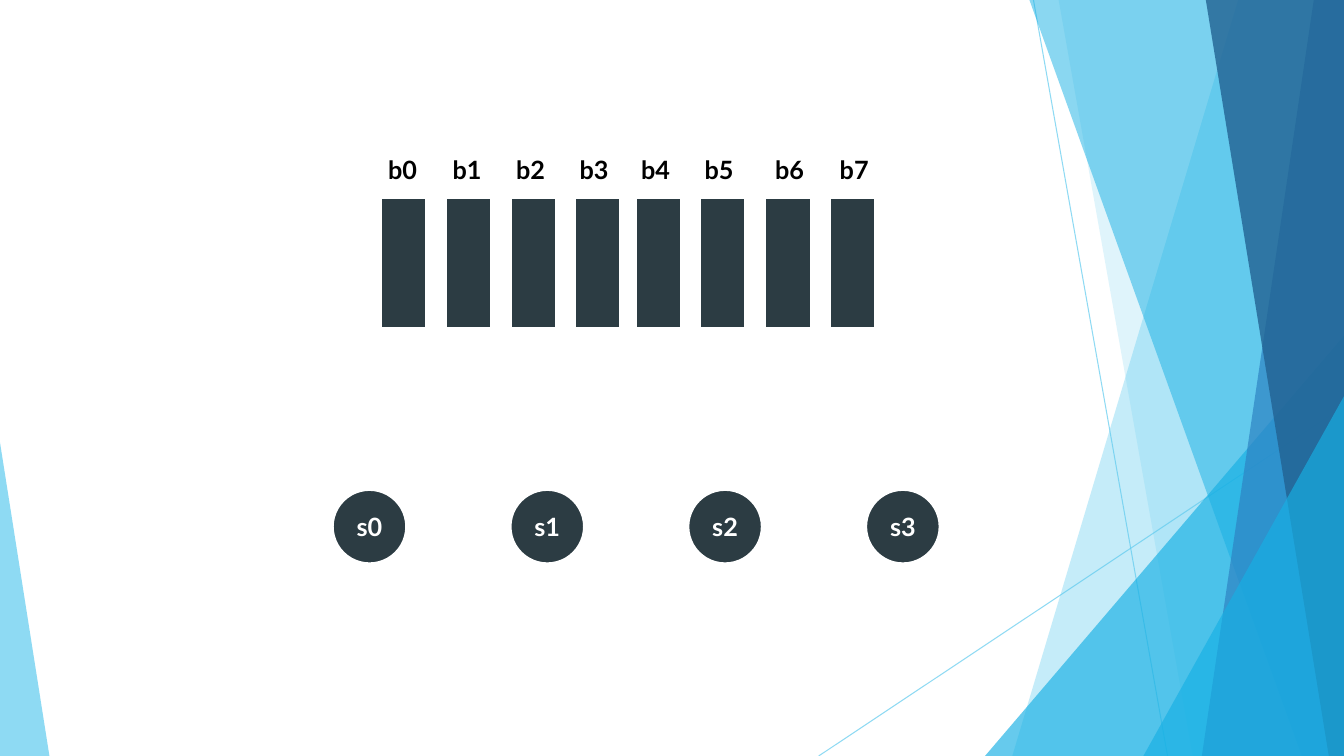
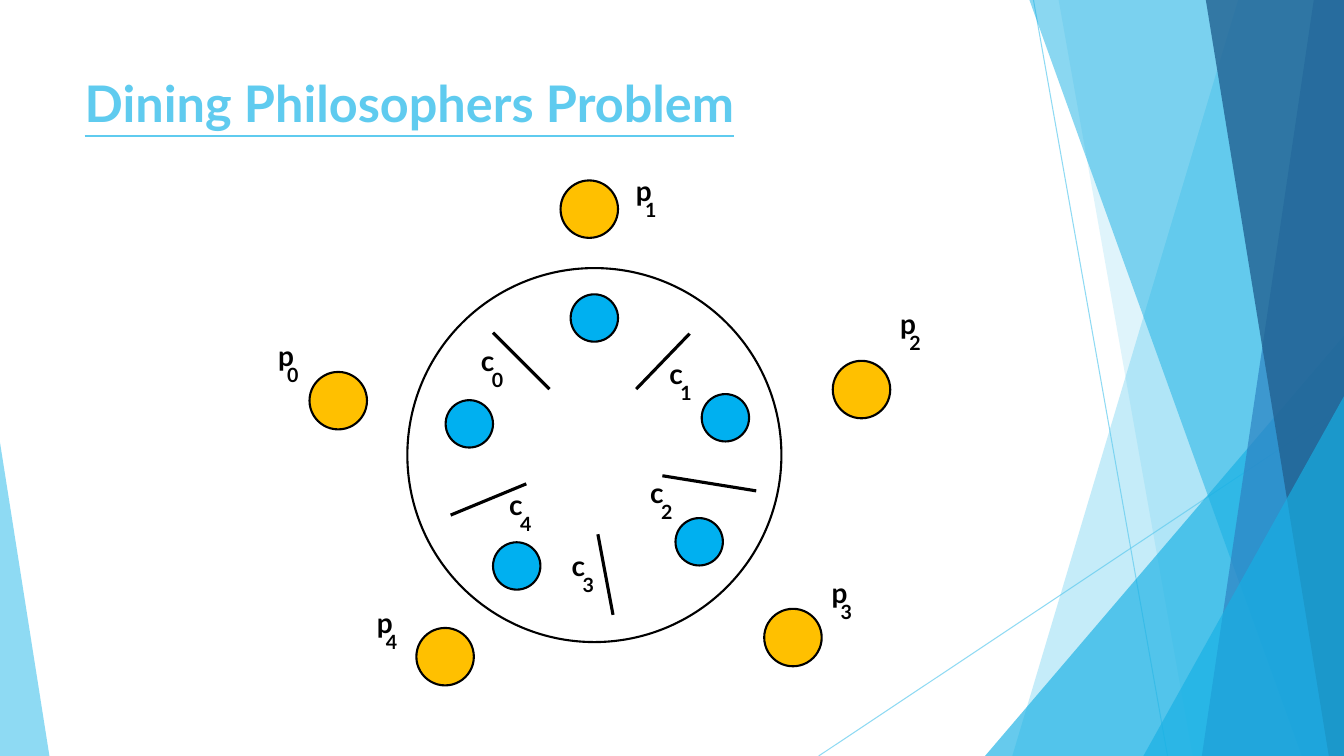
from dataclasses import dataclass

from lxml import etree
from pptx import Presentation
from pptx.dml.color import RGBColor
from pptx.enum import shapes, text
from pptx.oxml import ns
from pptx.util import Inches, Pt


@dataclass(frozen=True)
class Theme:
    font: str = "Lato"
    sky: str = "5FCBEF"
    cyan: str = "17B0E4"
    blue: str = "2E83C3"
    navy: str = "226292"
    slate: str = "2C3C43"
    white: str = "FFFFFF"
    black: str = "000000"
    amber: str = "FFC000"
    plate: str = "00B0F0"
    title_size: int = 36
    letter_size: int = 20
    label_size: int = 18
    index_size: int = 14
    hairline: float = 0.75
    outline: float = 1.5
    stick: float = 2.25


THEME = Theme()
WIDTH, HEIGHT = 13.33, 7.5
KIND = shapes.MSO_SHAPE

RAYS = [((10.25, 0), (11.58, HEIGHT)), ((WIDTH, 4.03), (8.12, HEIGHT))]
# top left, top right, bottom left
FACETS = [
    ("band", (12.28, 10.04), THEME.sky, 36),
    ("band", (10.5, 11.83), THEME.sky, 20),
    ("triangle", (9.77, 3.33, 3.56, 4.17, 1), THEME.cyan, 66),
    ("band", (10.21, 12.91), THEME.cyan, 50),
    ("band", (13.03, 11.92), THEME.blue, 70),
    ("band", (11.96, 13.18), THEME.navy, 80),
    ("triangle", (11.34, 3.93, 1.99, 3.57, 1), THEME.cyan, 66),
    ("triangle", (0, 4.39, 0.49, 3.11, 0), THEME.sky, 70),
]

BAR_LEFTS = [3.78, 4.42, 5.07, 5.7, 6.31, 6.94, 7.59, 8.23]
BAR_LABEL_LEFTS = [3.75, 4.39, 5.02, 5.65, 6.26, 6.89, 7.59, 8.23]
NODES = ["s0", "s1", "s2", "s3"]
NODE_FIRST, NODE_LAST = 3.3, 8.59

TITLE = "Dining Philosophers Problem"
TABLE = (4.04, 2.66, 3.71)
PHILOSOPHERS = [(3.07, 3.69), (5.56, 1.79), (8.26, 3.58), (7.58, 6.04), (4.13, 6.23)]
PLATES = [(5.66, 2.92), (6.96, 3.91), (6.7, 5.14), (4.89, 5.38), (4.42, 3.97)]
CHOPSTICKS = [
    ((4.89, 3.3), (5.45, 3.86)),
    ((4.47, 5.11), (5.22, 4.8)),
    ((6.31, 3.86), (6.84, 3.31)),
    ((6.57, 4.72), (7.5, 4.87)),
    ((5.93, 5.3), (6.08, 6.1)),
]
# letter, width, index offset, positions in index order
LABELS = [
    ("p", 0.36, 0.09, [(2.66, 3.31), (6.21, 1.67), (8.83, 2.99), (8.15, 5.66), (3.64, 5.96)]),
    ("c", 0.35, 0.11, [(4.67, 3.36), (6.54, 3.49), (6.35, 4.67), (5.57, 5.39), (4.95, 4.79)]),
]
INDEX_DROP = 0.24


def write(frame, words, *, size, color, align=text.PP_ALIGN.LEFT,
          anchor=text.MSO_ANCHOR.TOP, wrap=True, underline=None,
          fit=text.MSO_AUTO_SIZE.NONE):
    frame.word_wrap = wrap
    frame.auto_size = fit
    frame.vertical_anchor = anchor
    para = frame.paragraphs[0]
    para.alignment = align
    span = para.add_run()
    span.text = words
    span.font.name = THEME.font
    span.font.size = Pt(size)
    span.font.bold = True
    span.font.underline = underline
    span.font.color.rgb = RGBColor.from_string(color)


def fade(paint, percent):
    color = next(paint.iter(ns.qn("a:srgbClr")))
    etree.SubElement(color, ns.qn("a:alpha")).set("val", str(percent * 1000))


def style(shape, fill, line=None, opacity=None):
    shape.shadow.inherit = False
    shape.fill.solid()
    shape.fill.fore_color.rgb = RGBColor.from_string(fill)
    if opacity:
        fade(shape.element.spPr, opacity)
    if line:
        shape.line.color.rgb = RGBColor.from_string(line)
        shape.line.width = Pt(THEME.outline)
    else:
        shape.line.fill.background()
    return shape


def add_preset(page, kind, left, top, width, height, fill, line=None, opacity=None):
    box = page.shapes.add_shape(kind, *map(Inches, (left, top, width, height)))
    return style(box, fill, line, opacity)


def add_line(page, start, end, color, weight, opacity=None):
    line = page.shapes.add_connector(
        shapes.MSO_CONNECTOR.STRAIGHT, *map(Inches, (*start, *end)))
    line.line.color.rgb = RGBColor.from_string(color)
    line.line.width = Pt(weight)
    if opacity:
        fade(line.element.spPr, opacity)
    etree.SubElement(line.element.spPr, ns.qn("a:effectLst"))
    return line


def add_label(page, words, left, top, width, height, size, wrap=False):
    box = page.shapes.add_textbox(*map(Inches, (left, top, width, height)))
    write(box.text_frame, words, size=size, color=THEME.black, wrap=wrap,
          fit=text.MSO_AUTO_SIZE.SHAPE_TO_FIT_TEXT)


def add_facet(page, form, place, color, opacity):
    if form == "triangle":
        *frame, apex = place
        facet = add_preset(page, KIND.ISOSCELES_TRIANGLE, *frame, color, opacity=opacity)
        facet.adjustments[0] = apex
        return facet
    top_left, bottom_left = place
    corners = [(WIDTH, 0), (WIDTH, HEIGHT), (bottom_left, HEIGHT)]
    outline = page.shapes.build_freeform(Inches(top_left), 0)
    outline.add_line_segments([tuple(map(Inches, corner)) for corner in corners], close=True)
    return style(outline.convert_to_shape(), color, opacity=opacity)


def decorate_master(deck, page):
    parts = [add_line(page, *ray, THEME.sky, THEME.hairline, 70) for ray in RAYS]
    parts += [add_facet(page, *facet) for facet in FACETS]
    tree = deck.slide_master.shapes.element
    for number, part in enumerate(parts, 100):
        next(part.element.iter(ns.qn("p:cNvPr"))).set("id", str(number))
        tree.append(part.element)


def build_bars(page):
    for left in BAR_LEFTS:
        add_preset(page, KIND.RECTANGLE, left, 1.96, 0.45, 1.3, THEME.slate, THEME.white)
    for index, left in enumerate(BAR_LABEL_LEFTS):
        add_label(page, f"b{index}", left, 1.48, 0.51, 0.4, THEME.label_size)
    step = (NODE_LAST - NODE_FIRST) / (len(NODES) - 1)
    for index, name in enumerate(NODES):
        node = add_preset(page, KIND.OVAL, NODE_FIRST + index * step, 4.86, 0.73, 0.73,
                          THEME.slate, THEME.white)
        write(node.text_frame, name, size=THEME.label_size, color=THEME.white,
              align=text.PP_ALIGN.CENTER, anchor=text.MSO_ANCHOR.MIDDLE)


def build_philosophers(page):
    title = page.shapes.title
    title.left, title.top, title.width, title.height = map(Inches, (0.74, 0.67, 9.4, 1.44))
    write(title.text_frame, TITLE, size=THEME.title_size, color=THEME.sky, underline=True)

    circles = [(*TABLE, THEME.white)]
    circles += [(*spot, 0.57, THEME.amber) for spot in PHILOSOPHERS]
    circles += [(*spot, 0.47, THEME.plate) for spot in PLATES]
    for left, top, size, fill in circles:
        add_preset(page, KIND.OVAL, left, top, size, size, fill, THEME.black)
    for start, end in CHOPSTICKS:
        add_line(page, start, end, THEME.black, THEME.stick)
    for letter, width, shift, spots in LABELS:
        for index, (left, top) in enumerate(spots):
            add_label(page, letter, left, top, width, 0.44, THEME.letter_size)
            add_label(page, str(index), left + shift, top + INDEX_DROP, 0.39, 0.34,
                      THEME.index_size, wrap=True)


def main():
    deck = Presentation()
    deck.slide_width, deck.slide_height = Inches(WIDTH), Inches(HEIGHT)
    bars = deck.slides.add_slide(deck.slide_layouts[6])
    decorate_master(deck, bars)
    build_bars(bars)
    build_philosophers(deck.slides.add_slide(deck.slide_layouts[5]))
    deck.save("out.pptx")


if __name__ == "__main__":
    main()
